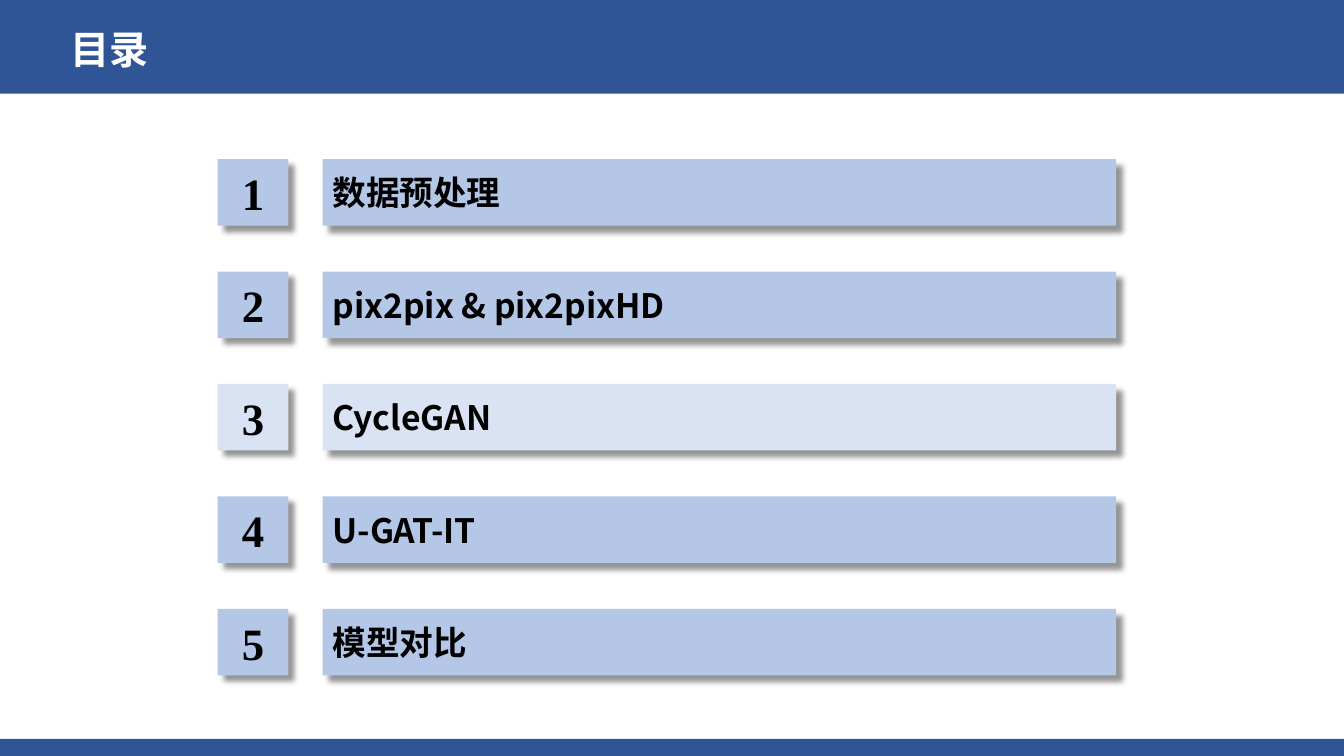
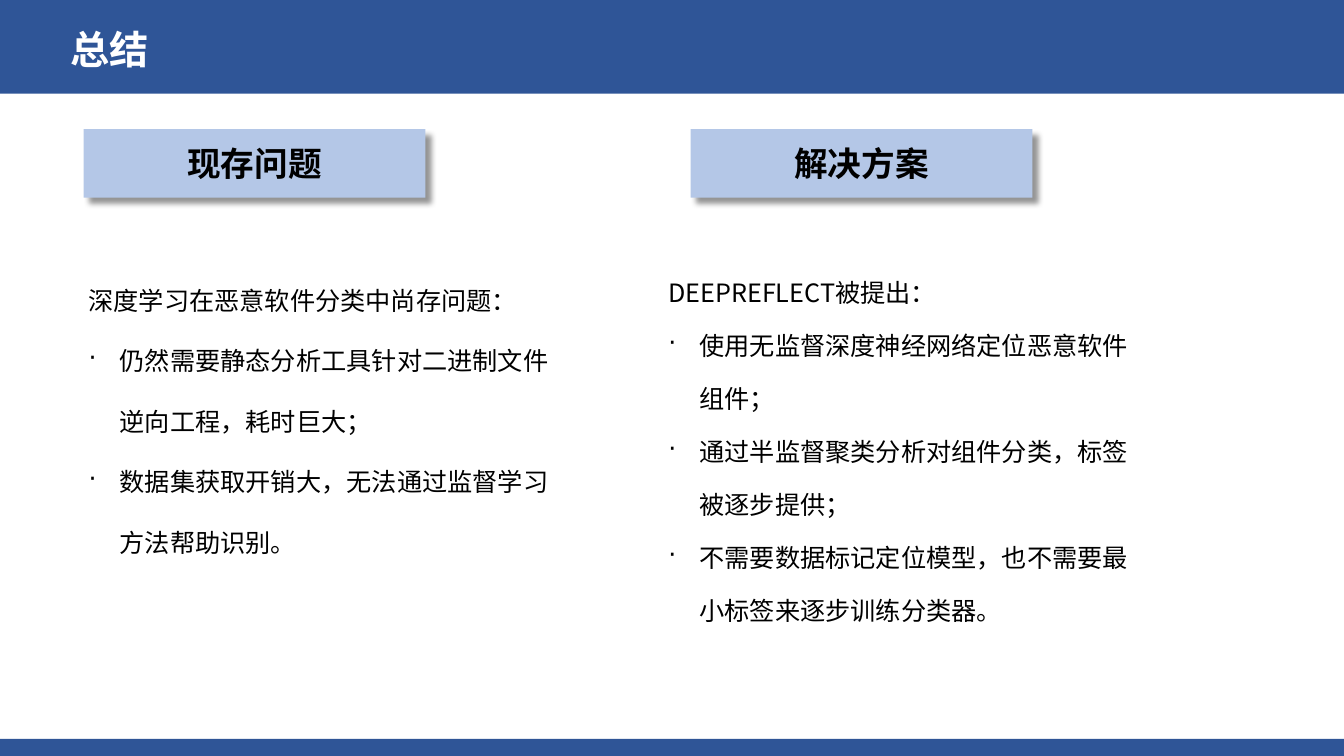
from lxml import etree
from pptx import Presentation
from pptx.dml.color import RGBColor
from pptx.enum import shapes, text
from pptx.oxml import ns
from pptx.util import Inches, Pt

COLORS = {
    "band": "2F5597",
    "panel": "B4C7E7",
    "current": "DAE3F3",
    "ink": "000000",
    "paper": "FFFFFF",
}
SANS, SERIF = "Noto Sans CJK SC", "Times New Roman"
LEFT, CENTER = text.PP_ALIGN.LEFT, text.PP_ALIGN.CENTER
WIDTH, HEIGHT = 13.33, 7.5
BANDS = [(0, 0.93), (7.33, 0.17)]

AGENDA_TITLE = "目录"
AGENDA = ["数据预处理", "pix2pix & pix2pixHD", "CycleGAN", "U-GAT-IT", "模型对比"]
CURRENT_TOPIC = "CycleGAN"
FIRST_TOP, LAST_TOP, ROW_HEIGHT = 1.58, 6.04, 0.66

SUMMARY_TITLE = "总结"
SUMMARY = [
    {
        "heading": "现存问题", "heading_left": 0.83,
        "body_left": 0.78, "body_height": 3.04, "line_spacing": 2.0,
        "intro": "深度学习在恶意软件分类中尚存问题：",
        "points": [
            "仍然需要静态分析工具针对二进制文件逆向工程，耗时巨大；",
            "数据集获取开销大，无法通过监督学习方法帮助识别。",
        ],
    },
    {
        "heading": "解决方案", "heading_left": 6.85,
        "body_left": 6.53, "body_height": 3.74, "line_spacing": 1.75,
        "intro": "DEEPREFLECT被提出：",
        "points": [
            "使用无监督深度神经网络定位恶意软件组件；",
            "通过半监督聚类分析对组件分类，标签被逐步提供；",
            "不需要数据标记定位模型，也不需要最小标签来逐步训练分类器。",
        ],
    },
]


def color(name):
    return RGBColor.from_string(COLORS[name])


def add_run(paragraph, words, size, ink="ink", bold=False, font=SANS):
    run = paragraph.add_run()
    run.text = words
    run.font.size = Pt(size)
    run.font.bold = bold
    run.font.name = font
    run.font.color.rgb = color(ink)
    # East Asian glyphs take their typeface from a:ea
    properties = run.font._element
    etree.SubElement(properties, ns.qn("a:ea"), typeface=font)


def add_rectangle(slide, left, top, width, height, fill):
    shape = slide.shapes.add_shape(
        shapes.MSO_SHAPE.RECTANGLE,
        Inches(left), Inches(top), Inches(width), Inches(height))
    shape.fill.solid()
    shape.fill.fore_color.rgb = color(fill)
    shape.line.fill.background()
    shape.shadow.inherit = False
    return shape


def add_panel(slide, left, top, width, height, words, size,
              fill="panel", font=SANS, align=CENTER):
    """Add a filled box with bold text and a soft shadow to the lower right."""
    shape = add_rectangle(slide, left, top, width, height, fill)
    effects = shape._element.spPr.find(ns.qn("a:effectLst"))
    shadow = etree.SubElement(
        effects, ns.qn("a:outerShdw"), blurRad=str(Pt(4)), dist=str(Pt(6)),
        dir="2700000", algn="tl", rotWithShape="0")
    tint = etree.SubElement(shadow, ns.qn("a:srgbClr"), val=COLORS["ink"])
    etree.SubElement(tint, ns.qn("a:alpha"), val="41000")
    frame = shape.text_frame
    frame.vertical_anchor = text.MSO_ANCHOR.MIDDLE
    paragraph = frame.paragraphs[0]
    paragraph.alignment = align
    add_run(paragraph, words, size, bold=True, font=font)


def add_titled_slide(presentation, words):
    slide = presentation.slides.add_slide(presentation.slide_layouts[5])
    for top, height in BANDS:
        add_rectangle(slide, 0, top, WIDTH, height, "band")
    title = slide.shapes.title
    title.left, title.top = Inches(0.6), Inches(0.2)
    title.width, title.height = Inches(7.35), Inches(0.57)
    frame = title.text_frame
    frame.word_wrap = True
    frame.auto_size = text.MSO_AUTO_SIZE.NONE
    frame.vertical_anchor = text.MSO_ANCHOR.TOP
    frame.paragraphs[0].alignment = LEFT
    add_run(frame.paragraphs[0], words, 28, ink="paper", bold=True)
    # Bring the title in front of the top band
    title._element.getparent().append(title._element)
    return slide


def set_bullet(paragraph):
    properties = paragraph._p.get_or_add_pPr()
    properties.set("marL", str(Inches(0.31)))
    properties.set("indent", str(Inches(-0.31)))
    etree.SubElement(properties, ns.qn("a:buChar"), char="·")


def add_body(slide, column):
    box = slide.shapes.add_textbox(
        Inches(column["body_left"]), Inches(2.48),
        Inches(4.94), Inches(column["body_height"]))
    frame = box.text_frame
    frame.word_wrap = True
    paragraph = frame.paragraphs[0]
    paragraph.line_spacing = column["line_spacing"]
    add_run(paragraph, column["intro"], 18)
    for point in column["points"]:
        paragraph = frame.add_paragraph()
        set_bullet(paragraph)
        paragraph.line_spacing = column["line_spacing"]
        add_run(paragraph, point, 18)


def build_agenda(presentation):
    slide = add_titled_slide(presentation, AGENDA_TITLE)
    pitch = (LAST_TOP - FIRST_TOP) / (len(AGENDA) - 1)
    for index, topic in enumerate(AGENDA):
        top = FIRST_TOP + index * pitch
        fill = "current" if topic == CURRENT_TOPIC else "panel"
        add_panel(slide, 2.16, top, 0.7, ROW_HEIGHT, str(index + 1), 32,
                  fill, font=SERIF)
        add_panel(slide, 3.2, top, 7.87, ROW_HEIGHT, topic, 24,
                  fill, align=LEFT)


def build_summary(presentation):
    slide = add_titled_slide(presentation, SUMMARY_TITLE)
    for column in SUMMARY:
        add_panel(slide, column["heading_left"], 1.28, 3.39, 0.68,
                  column["heading"], 24)
        add_body(slide, column)


def main():
    presentation = Presentation()
    presentation.slide_width = Inches(WIDTH)
    presentation.slide_height = Inches(HEIGHT)
    build_agenda(presentation)
    build_summary(presentation)
    presentation.save("out.pptx")


if __name__ == "__main__":
    main()
